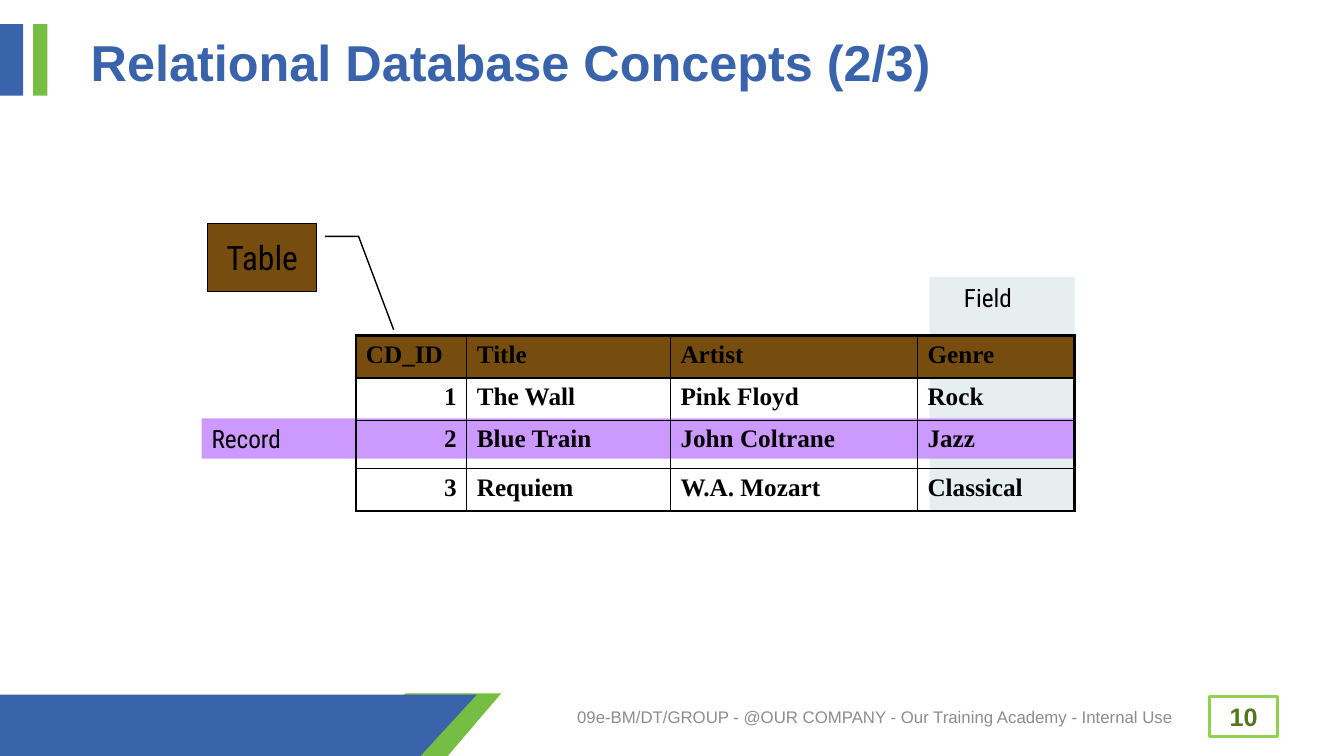
from lxml import etree
from pptx import Presentation
from pptx.dml.color import RGBColor
from pptx.enum.shapes import MSO_SHAPE
from pptx.enum.text import MSO_ANCHOR, PP_ALIGN
from pptx.oxml.ns import qn
from pptx.util import Inches, Pt

RECT, SLANT, CALLOUT = MSO_SHAPE.RECTANGLE, MSO_SHAPE.PARALLELOGRAM, MSO_SHAPE.LINE_CALLOUT_2
TOP, MIDDLE = MSO_ANCHOR.TOP, MSO_ANCHOR.MIDDLE
LEFT, CENTER, RIGHT = PP_ALIGN.LEFT, PP_ALIGN.CENTER, PP_ALIGN.RIGHT

# Content
TITLE = "Relational Database Concepts (2/3)"
FOOTER = "09e-BM/DT/GROUP - @OUR COMPANY - Our Training Academy - Internal Use"
PAGE = "10"
CDS = [
    ("CD_ID", "Title", "Artist", "Genre"),
    ("1", "The Wall", "Pink Floyd", "Rock"),
    ("2", "Blue Train", "John Coltrane", "Jazz"),
    ("3", "Requiem", "W.A. Mozart", "Classical"),
]

# Style
BLUE, GREEN, BROWN, BLACK = "3963AA", "76BE43", "774D0F", "000000"
LABEL_FONT, TABLE_FONT = "Roboto Condensed", "Times New Roman"

# Grid
W, H = 13.33, 7.5
COLS = [1.1, 2.02, 2.45, 1.56]
ROWS = [0.42, 0.42, 0.48, 0.42]
TABLE_X, TABLE_Y = 3.53, 3.33
TABLE_W, TABLE_H = sum(COLS), sum(ROWS)
TABLE_RIGHT, TABLE_BOTTOM = TABLE_X + TABLE_W, TABLE_Y + TABLE_H
FIELD_X, FIELD_Y = 9.22, 2.75
RECORD_X, RECORD_Y = 2.0, 4.15
BAR_Y, BAR_H = 0.24, 0.71
FOOT_Y, FOOT_H = 6.91, 0.4
BAND_Y = 6.89

prs = Presentation()
prs.slide_width, prs.slide_height = Inches(W), Inches(H)
s = prs.slides.add_slide(prs.slide_layouts[5])


def color(value):
    return RGBColor.from_string(value)


def write(tf, text, size=18, font="Arial", ink=BLACK, bold=False, align=LEFT, anchor=TOP):
    tf.word_wrap = True
    tf.vertical_anchor = anchor
    p = tf.paragraphs[0]
    p.alignment = align
    r = p.add_run()
    r.text = text
    r.font.size, r.font.name, r.font.bold = Pt(size), font, bold
    r.font.color.rgb = color(ink)
    return p


def paint(sp, fill, line=None, width=1):
    sp.shadow.inherit = False
    sp.fill.solid()
    sp.fill.fore_color.rgb = color(fill)
    if line:
        sp.line.color.rgb = color(line)
        sp.line.width = Pt(width)
    else:
        sp.line.fill.background()


def add_box(x, y, w, h, fill, kind=RECT, adjust=(), line=None, width=1):
    sp = s.shapes.add_shape(kind, Inches(x), Inches(y), Inches(w), Inches(h))
    for i, value in enumerate(adjust):
        sp.adjustments[i] = value
    paint(sp, fill, line, width)
    return sp


def set_borders(cell, widths):
    tc_pr = cell._tc.get_or_add_tcPr()
    for i, (side, width) in enumerate(widths.items()):
        ln = etree.Element(qn("a:" + side), w=str(Pt(width)))
        fill = etree.SubElement(ln, qn("a:solidFill"))
        etree.SubElement(fill, qn("a:srgbClr"), val=BLACK)
        tc_pr.insert(i, ln)


# Bottom band and title bars
add_box(3.49, 6.88, 1.48, H - 6.88, GREEN, kind=SLANT, adjust=[0.854])
fb = s.shapes.build_freeform(0, Inches(BAND_Y), scale=1.0)
fb.add_line_segments([(Inches(x), Inches(y)) for x, y in [(4.73, BAND_Y), (4.17, H), (0, H)]])
paint(fb.convert_to_shape(), BLUE)
for x, w, fill in [(0, 0.23, BLUE), (0.33, 0.14, GREEN)]:
    add_box(x, BAR_Y, w, BAR_H, fill)

# Title
title = s.shapes.title
title.left, title.top, title.width, title.height = map(Inches, (0.8, 0.2, 11.61, 0.89))
p = write(title.text_frame, TITLE, size=36, ink=BLUE, bold=True, anchor=MIDDLE)
p.line_spacing = 0.9

# Footer and page number
page = add_box(12, FOOT_Y, 0.67, FOOT_H, "FFFFFF", line="92D050", width=2.25)
write(page.text_frame, PAGE, ink="50771B", bold=True, align=CENTER, anchor=MIDDLE)
foot = s.shapes.add_textbox(Inches(5.36), Inches(FOOT_Y), Inches(6.64), Inches(FOOT_H))
write(foot.text_frame, FOOTER, size=12, ink="8C8C8C", align=CENTER, anchor=MIDDLE)

# Field and record highlights behind the table
field = add_box(FIELD_X, FIELD_Y, TABLE_RIGHT - FIELD_X, TABLE_BOTTOM - FIELD_Y, "E6EEF0")
field.text_frame.margin_right = Inches(0.38)
write(field.text_frame, "Field", font=LABEL_FONT, align=CENTER)
record = add_box(RECORD_X, RECORD_Y, TABLE_RIGHT - RECORD_X, 0.4, "CC99FF")
write(record.text_frame, "Record", font=LABEL_FONT)

# Table
frame = s.shapes.add_table(len(ROWS), len(COLS), Inches(TABLE_X), Inches(TABLE_Y),
                           Inches(TABLE_W), Inches(TABLE_H))
table = frame.table
table.horz_banding = False
for col, w in zip(table.columns, COLS):
    col.width = Inches(w)
for row, h in zip(table.rows, ROWS):
    row.height = Inches(h)
last_row, last_col = len(ROWS) - 1, len(COLS) - 1
for i, values in enumerate(CDS):
    for j, text in enumerate(values):
        cell = table.cell(i, j)
        if i == 0:
            cell.fill.solid()
            cell.fill.fore_color.rgb = color(BROWN)
        else:
            cell.fill.background()
        write(cell.text_frame, text, font=TABLE_FONT, bold=True,
              align=RIGHT if i and j == 0 else LEFT)
        outer = {"lnL": j == 0, "lnR": j == last_col, "lnT": i == 0, "lnB": i == last_row}
        set_borders(cell, {side: 2.25 if edge else 1 for side, edge in outer.items()})

# Callout pointing at the table
callout = add_box(2.06, 2.22, 1.08, 0.67, BROWN, kind=CALLOUT, line=BLACK,
                  adjust=[0.188, 1.077, 0.188, 1.386, 1.57, 1.708])
write(callout.text_frame, "Table", size=24, font=LABEL_FONT, align=CENTER, anchor=MIDDLE)

prs.save("out.pptx")
